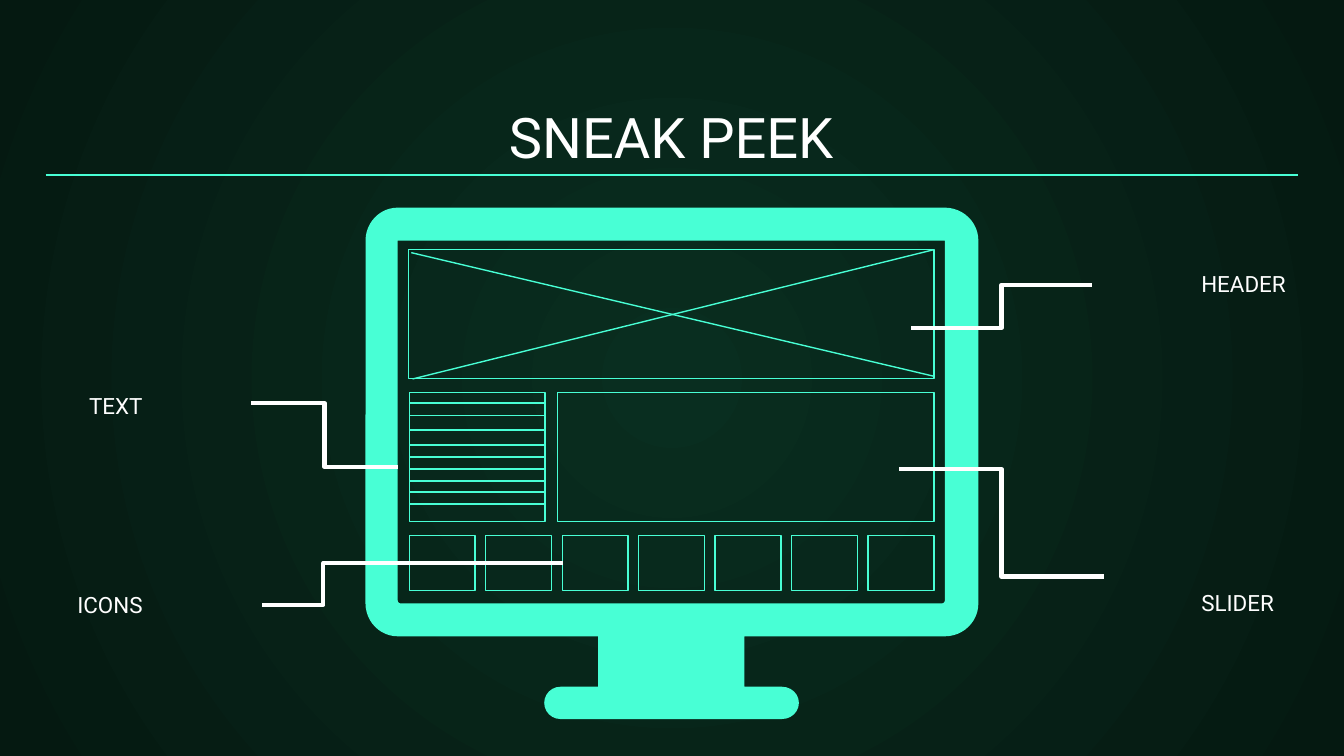
from dataclasses import dataclass

from lxml import etree
from pptx import Presentation
from pptx import util as u
from pptx.dml.color import RGBColor
from pptx.enum import shapes, text
from pptx.oxml.ns import qn

COLUMNS, ROWS = 100, 56.25
WIDTH, HEIGHT = u.Inches(10), u.Inches(5.625)
DEGREE = 60000

MINT = RGBColor(0x48, 0xFF, 0xD5)
WHITE = RGBColor(0xFF, 0xFF, 0xFF)
FOREST = RGBColor(0x09, 0x2E, 0x20)
NIGHT = RGBColor(0x05, 0x19, 0x11)
FONT = "Roboto"

Point = tuple[float, float]


@dataclass(frozen=True)
class Panel:
    left: float
    top: float
    width: float
    height: float


@dataclass(frozen=True)
class Label:
    words: str
    area: Panel
    align: text.PP_ALIGN
    size: float = 12
    anchor: text.MSO_ANCHOR = text.MSO_ANCHOR.TOP
    spacing: float = 1


@dataclass(frozen=True)
class Line:
    start: Point
    end: Point
    color: RGBColor = MINT
    weight: float = 0.75
    bend: float | None = None


@dataclass(frozen=True)
class Step:
    x: float
    y: float
    angle: int | None = None
    sweep: int = 90


def across(columns: float) -> u.Emu:
    return u.Emu(round(columns * WIDTH / COLUMNS))


def down(rows: float) -> u.Emu:
    return u.Emu(round(rows * HEIGHT / ROWS))


def place(area: Panel) -> tuple[u.Emu, u.Emu, u.Emu, u.Emu]:
    return across(area.left), down(area.top), across(area.width), down(area.height)


def paint_background(page) -> None:
    fill = page.background.fill
    fill.gradient()
    for stop, color, position in zip(fill.gradient_stops, (FOREST, NIGHT), (0, 1)):
        stop.color.rgb = color
        stop.position = position
    gradient = page.element.find(".//" + qn("a:gradFill"))
    radial = etree.Element(qn("a:path"), {"path": "circle"})
    etree.SubElement(radial, qn("a:fillToRect"), dict.fromkeys("ltrb", "50000"))
    gradient.replace(gradient.find(qn("a:lin")), radial)


def draw_label(page, label: Label) -> None:
    box = page.shapes.add_textbox(*place(label.area))
    frame = box.text_frame
    frame.word_wrap = True
    frame.vertical_anchor = label.anchor
    frame.margin_left = frame.margin_right = u.Inches(0.1)
    frame.margin_top = frame.margin_bottom = u.Inches(0.1)
    para = frame.paragraphs[0]
    para.text = label.words
    para.alignment = label.align
    para.line_spacing = label.spacing
    para.font.name = FONT
    para.font.size = u.Pt(label.size)
    para.font.color.rgb = WHITE


def draw_panel(parent, area: Panel) -> None:
    box = parent.shapes.add_shape(shapes.MSO_SHAPE.RECTANGLE, *place(area))
    box.shadow.inherit = False
    box.fill.background()
    box.line.color.rgb = MINT
    box.line.width = u.Pt(0.75)


def draw_line(page, line: Line) -> None:
    kind = shapes.MSO_CONNECTOR.STRAIGHT if line.bend is None else shapes.MSO_CONNECTOR.ELBOW
    (x1, y1), (x2, y2) = line.start, line.end
    connector = page.shapes.add_connector(kind, across(x1), down(y1), across(x2), down(y2))
    connector.line.color.rgb = line.color
    connector.line.width = u.Pt(line.weight)
    properties = connector.element.spPr
    etree.SubElement(properties, qn("a:effectLst"))
    if line.bend is not None:
        guides = properties.find(".//" + qn("a:avLst"))
        formula = f"val {round(line.bend * 1000)}"
        etree.SubElement(guides, qn("a:gd"), {"name": "adj1", "fmla": formula})


def round_corner(segment, before: Step, after: Step) -> None:
    curve = etree.Element(qn("a:arcTo"), {
        "wR": str(across(abs(after.x - before.x))),
        "hR": str(down(abs(after.y - before.y))),
        "stAng": str(after.angle * DEGREE),
        "swAng": str(after.sweep * DEGREE),
    })
    segment.getparent().replace(segment, curve)


def draw_outline(page, contours: list[list[Step]]) -> None:
    first = contours[0][0]
    builder = page.shapes.build_freeform(across(first.x), down(first.y), scale=1.0)
    for index, (start, *rest) in enumerate(contours):
        if index:
            builder.move_to(across(start.x), down(start.y))
        builder.add_line_segments([(across(s.x), down(s.y)) for s in rest], close=True)
    outline = builder.convert_to_shape()
    outline.shadow.inherit = False
    outline.fill.solid()
    outline.fill.fore_color.rgb = MINT
    outline.line.fill.background()
    segments = outline.element.findall(".//" + qn("a:lnTo"))
    pairs = [pair for contour in contours for pair in zip(contour, contour[1:])]
    for segment, (before, after) in zip(segments, pairs):
        if after.angle is not None:
            round_corner(segment, before, after)


MONITOR = [
    [
        Step(27.2, 17.9), Step(29.6, 15.45, 180),
        Step(70.3, 15.45), Step(72.8, 17.9, 270),
        Step(72.8, 44.9), Step(70.3, 47.35, 0),
        Step(55.4, 47.35), Step(55.4, 51.1),
        Step(58.2, 51.1), Step(59.45, 52.3, 270), Step(58.2, 53.5, 0),
        Step(41.7, 53.5), Step(40.5, 52.3, 90), Step(41.7, 51.1, 180),
        Step(44.5, 51.1), Step(44.5, 47.35),
        Step(29.6, 47.35), Step(27.2, 44.9, 90),
    ],
    [
        Step(70.3, 17.9), Step(29.6, 17.9),
        Step(29.6, 44.7), Step(29.8, 44.9, 180, -90),
        Step(70.1, 44.9), Step(70.3, 44.7, 90, -90),
    ],
]

LEFT, RIGHT, CENTER = text.PP_ALIGN.LEFT, text.PP_ALIGN.RIGHT, text.PP_ALIGN.CENTER
LABELS = [
    Label("SNEAK PEEK", Panel(3.4, 7.05, 93.1, 6.6), CENTER, 30, text.MSO_ANCHOR.BOTTOM),
    Label("HEADER", Panel(88.4, 19.1, 11.6, 2.2), LEFT),
    Label("TEXT", Panel(0, 28.2, 11.6, 2.2), RIGHT),
    Label("SLIDER", Panel(88.4, 40.85, 11.6, 2.1), LEFT, spacing=2),
    Label("ICONS", Panel(0, 43, 11.6, 2.2), RIGHT),
]

PANELS = [
    Panel(30.4, 18.55, 39.1, 9.6),
    Panel(30.45, 29.2, 10.1, 9.6),
    Panel(41.5, 29.2, 28, 9.6),
]
ICON_COUNT, ICON_PITCH = 7, 5.69
ICONS = [Panel(30.45 + index * ICON_PITCH, 39.85, 4.9, 4.1) for index in range(ICON_COUNT)]

TEXT_ROWS = (30.9, 32, 33.1, 34, 34.9, 35.8, 36.6, 37.5, 30)
LINES = [
    Line((30.6, 18.8), (69.5, 28)),
    Line((30.7, 28.2), (69.4, 18.6)),
    *(Line((30.45, row), (40.5, row)) for row in TEXT_ROWS),
    Line((18.7, 30), (29.6, 34.75), WHITE, 2.25, 50),
    Line((19.5, 45), (41.9, 41.9), WHITE, 2.25, 20.4),
    Line((67.8, 24.4), (81.25, 21.2), WHITE, 2.25, 50),
    Line((66.9, 34.9), (82.15, 42.9), WHITE, 2.25, 50),
    Line((3.4, 13.02), (96.6, 13.02)),
]


def main() -> None:
    deck = Presentation()
    deck.slide_width, deck.slide_height = WIDTH, HEIGHT
    page = deck.slides.add_slide(deck.slide_layouts[6])
    paint_background(page)
    for label in LABELS:
        draw_label(page, label)
    draw_outline(page, MONITOR)
    for panel in PANELS:
        draw_panel(page, panel)
    icon_row = page.shapes.add_group_shape()
    for icon in ICONS:
        draw_panel(icon_row, icon)
    for line in LINES:
        draw_line(page, line)
    deck.save("out.pptx")


if __name__ == "__main__":
    main()
